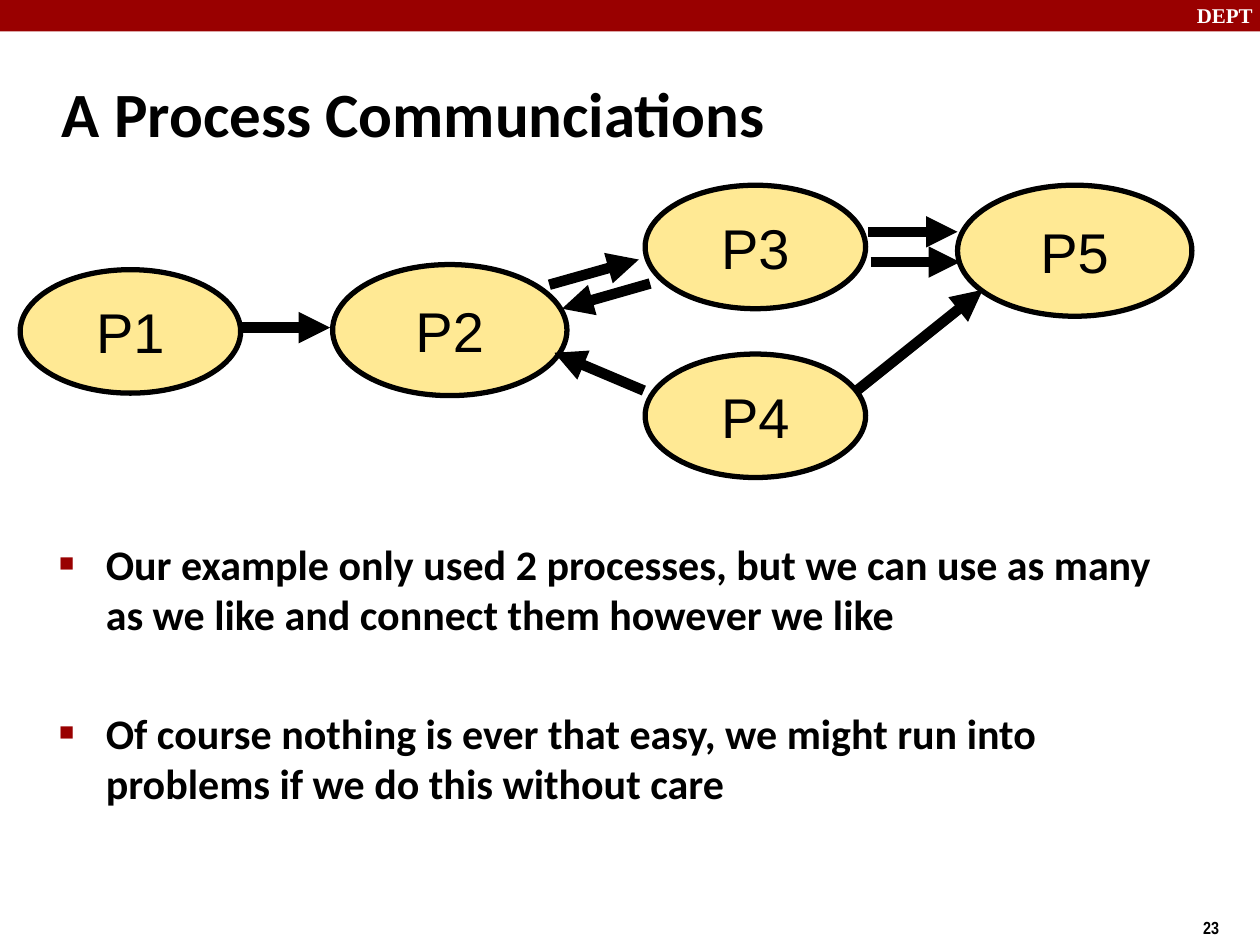
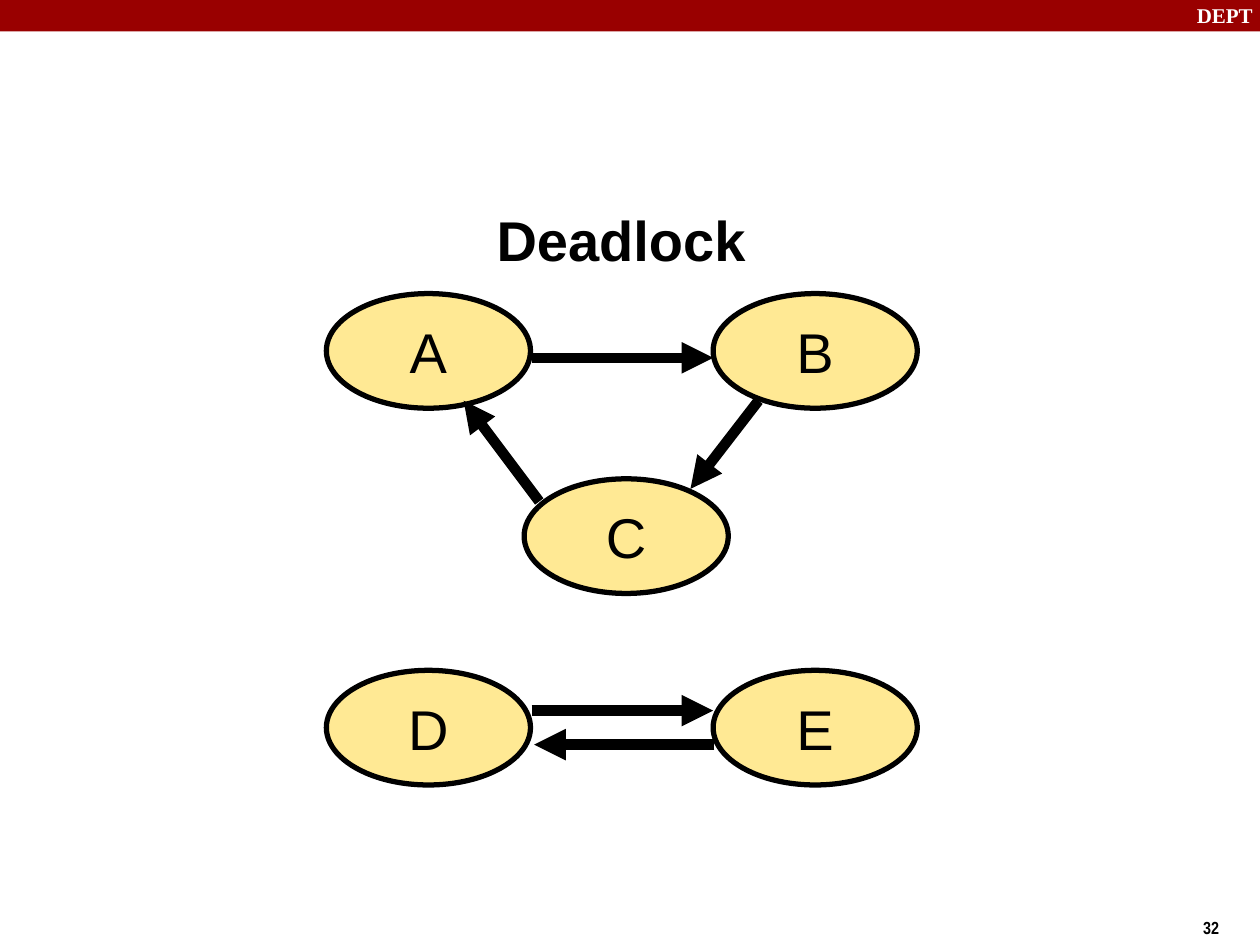
from dataclasses import dataclass

from lxml import etree
from pptx import Presentation
from pptx.dml.color import RGBColor
from pptx.enum.shapes import MSO_CONNECTOR, MSO_SHAPE
from pptx.enum.text import MSO_ANCHOR, MSO_AUTO_SIZE, PP_ALIGN
from pptx.oxml.ns import qn
from pptx.util import Inches, Pt

OVAL, RECTANGLE = MSO_SHAPE.OVAL, MSO_SHAPE.RECTANGLE
STRAIGHT = MSO_CONNECTOR.STRAIGHT
LEFT, CENTER = PP_ALIGN.LEFT, PP_ALIGN.CENTER
TOP, MIDDLE = MSO_ANCHOR.TOP, MSO_ANCHOR.MIDDLE
NO_AUTOFIT = MSO_AUTO_SIZE.NONE
TITLE_AND_CONTENT, TITLE_ONLY = 1, 5


@dataclass(frozen=True)
class Theme:
    red: str = "990000"
    black: str = "000000"
    white: str = "FFFFFF"
    node_fill: str = "FFE994"
    heading_font: str = "Calibri"
    diagram_font: str = "Arial"
    band_font: str = "Times New Roman"
    number_font: str = "Arial Narrow"
    title_size: int = 36
    node_size: int = 32
    body_size: int = 24
    band_size: int = 12
    number_size: int = 10
    outline: int = 3
    arrow: int = 6


THEME = Theme()


# Formatting helpers
def rgb(color):
    return RGBColor.from_string(color)


def set_values(target, values):
    for name, value in values.items():
        setattr(target, name, value)


def place(shape, box):
    names = ("left", "top", "width", "height")
    set_values(shape, {name: Inches(length) for name, length in zip(names, box)})


def add_child(parent, tag, **attributes):
    return etree.SubElement(parent, qn(tag), attributes)


def write(shape, text, font, size, color=THEME.black, bold=True,
          alignment=LEFT, anchor=TOP, wrap=True, margins=(0.1, 0.05)):
    """Fill a shape with text, one paragraph a line."""
    frame = shape.text_frame
    frame.text = text
    side, edge = (Inches(margin) for margin in margins)
    set_values(frame, {
        "word_wrap": wrap, "auto_size": NO_AUTOFIT, "vertical_anchor": anchor,
        "margin_left": side, "margin_right": side,
        "margin_top": edge, "margin_bottom": edge,
    })
    for paragraph in frame.paragraphs:
        paragraph.alignment = alignment
        for run in paragraph.runs:
            set_values(run.font, {"name": font, "size": Pt(size), "bold": bold})
            run.font.color.rgb = rgb(color)


# Elements shared by the slides
def add_slide(presentation, layout, number):
    slide = presentation.slides.add_slide(presentation.slide_layouts[layout])
    band = slide.shapes.add_shape(RECTANGLE, 0, 0, Inches(10), Inches(0.25))
    band.shadow.inherit = False
    band.fill.solid()
    band.fill.fore_color.rgb = rgb(THEME.red)
    band.line.fill.background()
    add_text(slide, (9.4, -0.03, 0.67, 0.3), "DEPT", THEME.band_font,
             THEME.band_size, THEME.white, wrap=False)
    add_text(slide, (9.45, 7.23, 0.55, 0.27), str(number), THEME.number_font,
             THEME.number_size)
    return slide


def add_text(slide, box, text, font, size, color=THEME.black, wrap=True):
    text_box = slide.shapes.add_textbox(*(Inches(length) for length in box))
    write(text_box, text, font, size, color, wrap=wrap)


def set_title(slide, text, box, **text_format):
    title = slide.shapes.title
    place(title, box)
    write(title, text, **text_format)


def set_bullets(slide, items, box, gap):
    body = slide.placeholders[1]
    place(body, box)
    write(body, "\n".join(items), THEME.heading_font, THEME.body_size)
    for index, paragraph in enumerate(body.text_frame.paragraphs):
        set_values(paragraph, {"space_before": Pt(gap if index else 4.8),
                               "space_after": Pt(0), "line_spacing": 1.0})
        properties = paragraph._p.get_or_add_pPr()
        properties.set("marL", str(Inches(0.38)))
        properties.set("indent", str(Inches(-0.37)))
        add_child(add_child(properties, "a:buClr"), "a:srgbClr", val=THEME.red)
        add_child(properties, "a:buSzPct", val="60000")
        add_child(properties, "a:buFont", typeface=THEME.diagram_font)
        add_child(properties, "a:buChar", char="■")


# Diagram elements
def add_node(slide, label, left, top, size):
    node = slide.shapes.add_shape(
        OVAL, *(Inches(length) for length in (left, top, *size)))
    node.shadow.inherit = False
    node.fill.solid()
    node.fill.fore_color.rgb = rgb(THEME.node_fill)
    node.line.color.rgb = rgb(THEME.black)
    node.line.width = Pt(THEME.outline)
    write(node, label, THEME.diagram_font, THEME.node_size, bold=False,
          alignment=CENTER, anchor=MIDDLE, wrap=False, margins=(0.12, 0.07))


def add_arrow(slide, start, end):
    arrow = slide.shapes.add_connector(
        STRAIGHT, *(Inches(length) for length in (*start, *end)))
    arrow.line.color.rgb = rgb(THEME.black)
    arrow.line.width = Pt(THEME.arrow)
    add_child(arrow.line._get_or_add_ln(), "a:tailEnd", type="triangle")
    add_child(arrow._element.spPr, "a:effectLst")


def add_diagram(slide, nodes, arrows):
    for node in nodes:
        add_node(slide, *node)
    for start, end in arrows:
        add_arrow(slide, start, end)


# Slides
def build_communications(presentation):
    slide = add_slide(presentation, TITLE_AND_CONTENT, 23)
    set_title(slide, "A Process Communciations", (0.39, 0.48, 8.3, 0.83),
              font=THEME.heading_font, size=THEME.title_size, anchor=MIDDLE)
    set_bullets(slide, [
        "Our example only used 2 processes, but we can use as many "
        "as we like and connect them however we like",
        "Of course nothing is ever that easy, we might run into "
        "problems if we do this without care",
    ], (0.36, 4.22, 8.97, 2.82), gap=39)

    small, large = (1.75, 0.98), (1.86, 1.04)
    column = [0.16 + 2.48 * index for index in range(4)]
    add_diagram(slide, [
        ("P1", column[0], 2.14, small),
        ("P2", column[1], 2.1, large),
        ("P3", column[2], 1.47, small),
        ("P4", column[2], 2.81, small),
        ("P5", column[3], 1.47, large),
    ], [
        ((1.91, 2.6), (2.62, 2.6)),    # P1 to P2
        ((4.36, 2.26), (5.07, 2.06)),  # P2 to P3
        ((5.16, 2.25), (4.46, 2.45)),  # P3 to P2
        ((5.11, 3.1), (4.4, 2.8)),     # P4 to P2
        ((6.89, 1.84), (7.6, 1.84)),   # P3 to P5, upper
        ((6.91, 2.08), (7.62, 2.08)),  # P3 to P5, lower
        ((6.8, 3.1), (7.8, 2.3)),      # P4 to P5
    ])


def build_deadlock(presentation):
    slide = add_slide(presentation, TITLE_ONLY, 32)
    set_title(slide, "Deadlock", (3.48, 1.58, 2.9, 0.6),
              font=THEME.diagram_font, size=THEME.node_size, alignment=CENTER)

    size = (1.62, 0.91)
    left, right = 2.59, 5.66
    cycle_top, pair_top = 2.33, 5.32
    add_diagram(slide, [
        ("A", left, cycle_top, size),
        ("B", right, cycle_top, size),
        ("C", 4.16, 3.8, size),
        ("D", left, pair_top, size),
        ("E", right, pair_top, size),
    ], [
        ((4.22, 2.84), (right, 2.84)),  # A to B
        ((6.02, 3.18), (5.48, 3.88)),   # B to C
        ((4.28, 3.98), (3.68, 3.18)),   # C to A
        ((4.22, 5.64), (right, 5.64)),  # D to E
        ((5.67, 5.91), (4.24, 5.91)),   # E to D
    ])


def main():
    presentation = Presentation()
    set_values(presentation, {"slide_width": Inches(10),
                              "slide_height": Inches(7.5)})
    build_communications(presentation)
    build_deadlock(presentation)
    presentation.save("out.pptx")


if __name__ == "__main__":
    main()
